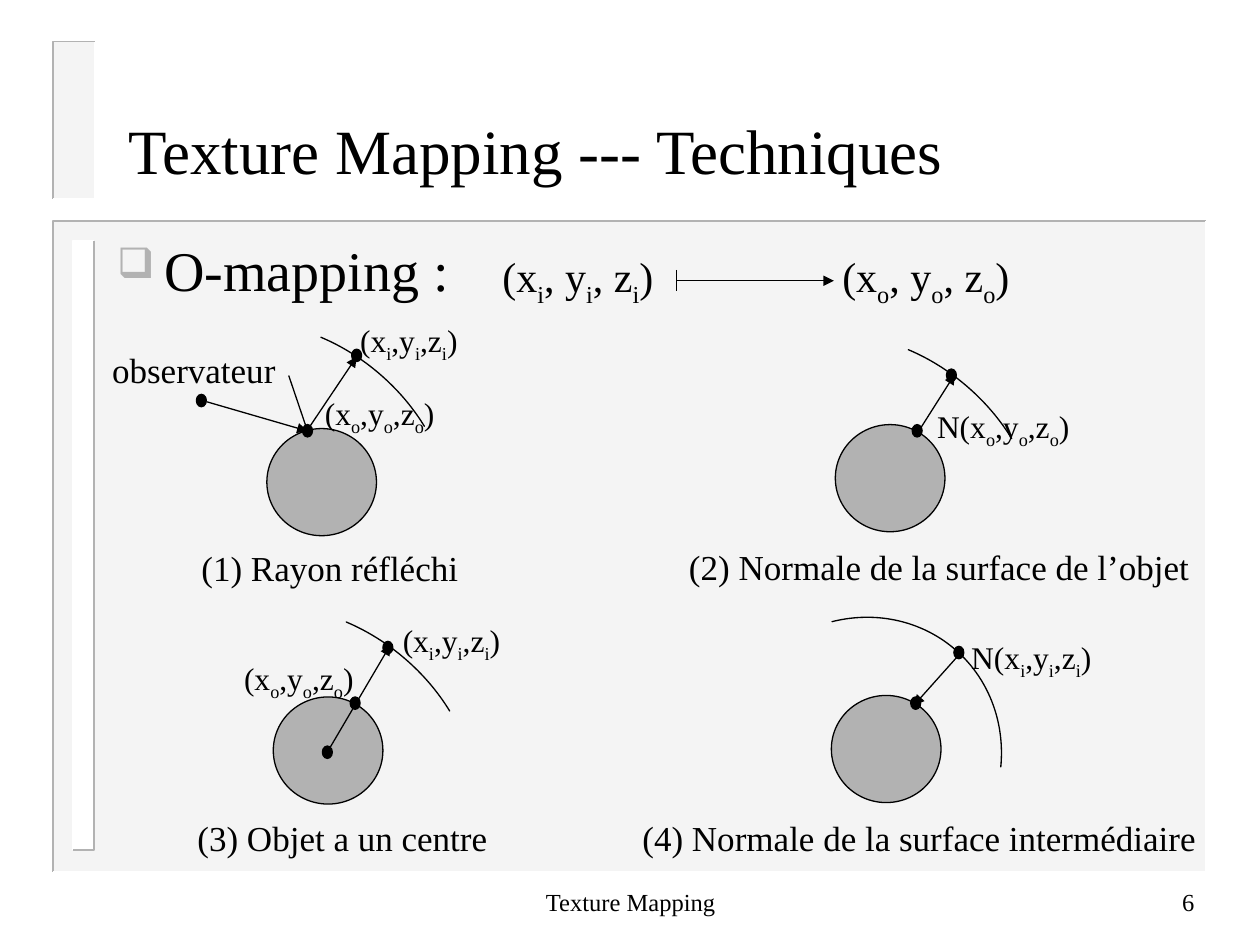
from lxml.etree import SubElement as Sub
from pptx import Presentation
from pptx.dml.color import RGBColor as RGB
from pptx.enum.shapes import MSO_CONNECTOR as Link, MSO_SHAPE as Kind
from pptx.enum.text import MSO_ANCHOR as Anchor, MSO_AUTO_SIZE as Fit, PP_ALIGN as Align
from pptx.oxml.ns import qn
from pptx.util import Cm, Pt


class Theme:
    font = "Times New Roman"
    ink, gray, pale, white = "000000", "B2B2B2", "EAEAEA", "FFFFFF"
    title, body, math, note, label, foot = 36, 32, 24, 20, 18, 14
    thin, edge = 0.75, 1


# Content; all places and sizes in cm
PAGE = (25.4, 19.05)
FRAMES = [  # box, fill, opacity, top-left edge, bottom-right edge
    ((1.07, 4.45, 23.24, 13.13), Theme.pale, 50, Theme.gray, Theme.white),
    ((1.47, 4.85, 0.43, 12.29), Theme.white, 100, Theme.white, Theme.gray),
    ((1.07, 0.84, 0.84, 3.18), Theme.pale, 50, Theme.gray, Theme.white),
]
TITLE = ("Texture Mapping --- Techniques", (2.34, 2.01, 21.59, 2.01))
TOPIC = ("O-mapping :", (2.11, 4.88, 22.66, 12.5))
FOOT = [
    ("Texture Mapping", (8.69, 17.55, 8.05, 1.27), Align.CENTER),
    ("6", (19.05, 17.55, 5.28, 1.27), Align.RIGHT),
]
# An underscore lowers the next letter
MAP = ("(x_i, y_i, z_i)\t(x_o, y_o, z_o)", (9.88, 4.93, 10.8, 1.42))
MAP_TAB = 6.85
MAP_LINES = [  # start, end, arrow
    ((13.64, 5.66), (16.81, 5.66), True),
    ((13.64, 5.44), (13.64, 5.87), False),
]
INNER, OUTER = "(x_i,y_i,z_i)", "(x_o,y_o,z_o)"
WIDE = (6.22, 4.11, 36.7)  # arc width, height, half angle
ROUND = (5.61, 5.97, 51.4)
FIGS = [
    dict(ball=(5.38, 8.64), arc=(3.2, 7.04, *WIDE),
         lines=[((6.2, 8.69), (5.82, 7.57), False),
                ((4.17, 8.1), (6.2, 8.69), True),
                ((6.17, 8.71), (7.19, 7.19), True)],
         dots=[(3.96, 7.95), (6.1, 8.56), (7.09, 7.04)],
         notes=[("observateur", 2.01, 6.91, 3.9),
                ("(1) Rayon réfléchi", 3.81, 10.9, 5.8)],
         labels=[(INNER, 7.01, 6.35, 2.6), (OUTER, 6.3, 7.82, 2.8)]),
    dict(ball=(16.84, 8.56), arc=(15.04, 7.29, *WIDE),
         lines=[((18.49, 8.74), (19.25, 7.54), True)],
         dots=[(18.39, 8.56), (19.08, 7.44)],
         notes=[("(2) Normale de la surface de l’objet", 13.64, 10.87, 10.9)],
         labels=[("N" + OUTER, 18.64, 8.08, 3.3)]),
    dict(ball=(5.51, 14.05), arc=(3.71, 12.78, *WIDE),
         lines=[((6.6, 15.16), (7.87, 13.0), True)],
         dots=[(6.5, 15.04), (7.06, 14.05), (7.72, 12.93)],
         notes=[("(3) Objet a un centre", 3.73, 16.33, 6.6)],
         labels=[(OUTER, 4.67, 13.16, 2.8), (INNER, 7.87, 12.4, 2.6)]),
    dict(ball=(16.76, 14.02), arc=(14.5, 12.37, *ROUND),
         lines=[((19.35, 13.18), (18.42, 14.22), True)],
         dots=[(18.36, 14.05), (19.23, 13.03)],
         notes=[("(4) Normale de la surface intermédiaire", 12.7, 16.33, 11.9)],
         labels=[("N" + INNER, 19.33, 12.73, 3.1)]),
]
BALL, DOT, ROW = (2.21, 2.16), (0.2, 0.25), 1.12
TILT = 40.7

deck = Presentation()
deck.slide_width, deck.slide_height = map(Cm, PAGE)
slide = deck.slides.add_slide(deck.slide_layouts[6])
shapes = slide.shapes


def cms(nums):
    return [Cm(n) for n in nums]


def pen(line, color=Theme.ink, width=Theme.thin):
    line.color.rgb = RGB.from_string(color)
    line.width = Pt(width)


def draw(kind, box, fill=None, line=True):
    shape = shapes.add_shape(kind, *cms(box))
    shape.shadow.inherit = False
    if fill:
        shape.fill.solid()
        shape.fill.fore_color.rgb = RGB.from_string(fill)
    else:
        shape.fill.background()
    if line:
        pen(shape.line)
    else:
        shape.line.fill.background()
    return shape


def trace(points, color):
    first, *rest = [cms(p) for p in points]
    form = shapes.build_freeform(*first, scale=1.0)
    form.add_line_segments(rest, close=False)
    shape = form.convert_to_shape()
    shape.shadow.inherit = False
    shape.fill.background()
    pen(shape.line, color, Theme.edge)


def link(start, end, arrow):
    line = shapes.add_connector(Link.STRAIGHT, *cms(start + end))
    pen(line.line)
    props = line._element.spPr
    if arrow:
        Sub(props.find(qn("a:ln")), qn("a:tailEnd"), type="triangle")
    Sub(props, qn("a:effectLst"))


def write(text, box, size, wrap=False, anchor=Anchor.TOP, align=Align.LEFT,
          bullet=None, tab=None):
    frame = shapes.add_textbox(*cms(box)).text_frame
    frame.word_wrap = wrap
    frame.auto_size = Fit.NONE if wrap else Fit.SHAPE_TO_FIT_TEXT
    frame.vertical_anchor = anchor
    para = frame.paragraphs[0]
    para.alignment = align
    props = para._p.get_or_add_pPr()
    if bullet:
        para.line_spacing = 0.8
        props.set("marL", str(Cm(0.95)))
        props.set("indent", str(-Cm(0.95)))
        Sub(Sub(props, qn("a:buClr")), qn("a:srgbClr"), val=Theme.gray)
        Sub(props, qn("a:buSzPct"), val="75000")
        Sub(props, qn("a:buChar"), char=bullet)
    if tab:
        Sub(Sub(props, qn("a:tabLst")), qn("a:tab"), pos=str(Cm(tab)), algn="l")
    para.font.name, para.font.size = Theme.font, Pt(size)
    para.font.color.rgb = RGB.from_string(Theme.ink)
    head, *tails = text.split("_")
    parts = [(head, False)]
    for tail in tails:
        parts += [(tail[0], True), (tail[1:], False)]
    for part, low in parts:
        run = para.add_run()
        run.text = part
        if low:
            run._r.get_or_add_rPr().set("baseline", "-25000")


# Panels with two-tone edges
for (x, y, w, h), fill, alpha, lit, dark in FRAMES:
    panel = draw(Kind.RECTANGLE, (x, y, w, h), fill, line=False)
    tint = panel._element.spPr.find(qn("a:solidFill"))[0]
    Sub(tint, qn("a:alpha"), val=str(alpha * 1000))
    right, low = x + w, y + h
    trace([(right, y), (x, y), (x, low)], lit)
    trace([(right, y), (right, low), (x, low)], dark)

# Title, topic and mapping rule
write(*TITLE, Theme.title, wrap=True, anchor=Anchor.MIDDLE)
write(*TOPIC, Theme.body, wrap=True, bullet="❑")
write(*MAP, Theme.math, tab=MAP_TAB)
for line in MAP_LINES:
    link(*line)

# Four techniques
for fig in FIGS:
    draw(Kind.OVAL, fig["ball"] + BALL, Theme.gray)
    *box, half = fig["arc"]
    arc = draw(Kind.BLOCK_ARC, box)
    arc.rotation = TILT
    for i, angle in enumerate((270 - half, 270 + half)):
        arc.adjustments[i] = angle * 0.6
    arc.adjustments[2] = 0
    for line in fig["lines"]:
        link(*line)
    for dot in fig["dots"]:
        draw(Kind.OVAL, dot + DOT, Theme.ink)
    for key, size in (("notes", Theme.note), ("labels", Theme.label)):
        for text, x, y, w in fig[key]:
            write(text, (x, y, w, ROW), size)

# Footer
for text, box, align in FOOT:
    write(text, box, Theme.foot, wrap=True, anchor=Anchor.MIDDLE, align=align)

deck.save("out.pptx")
